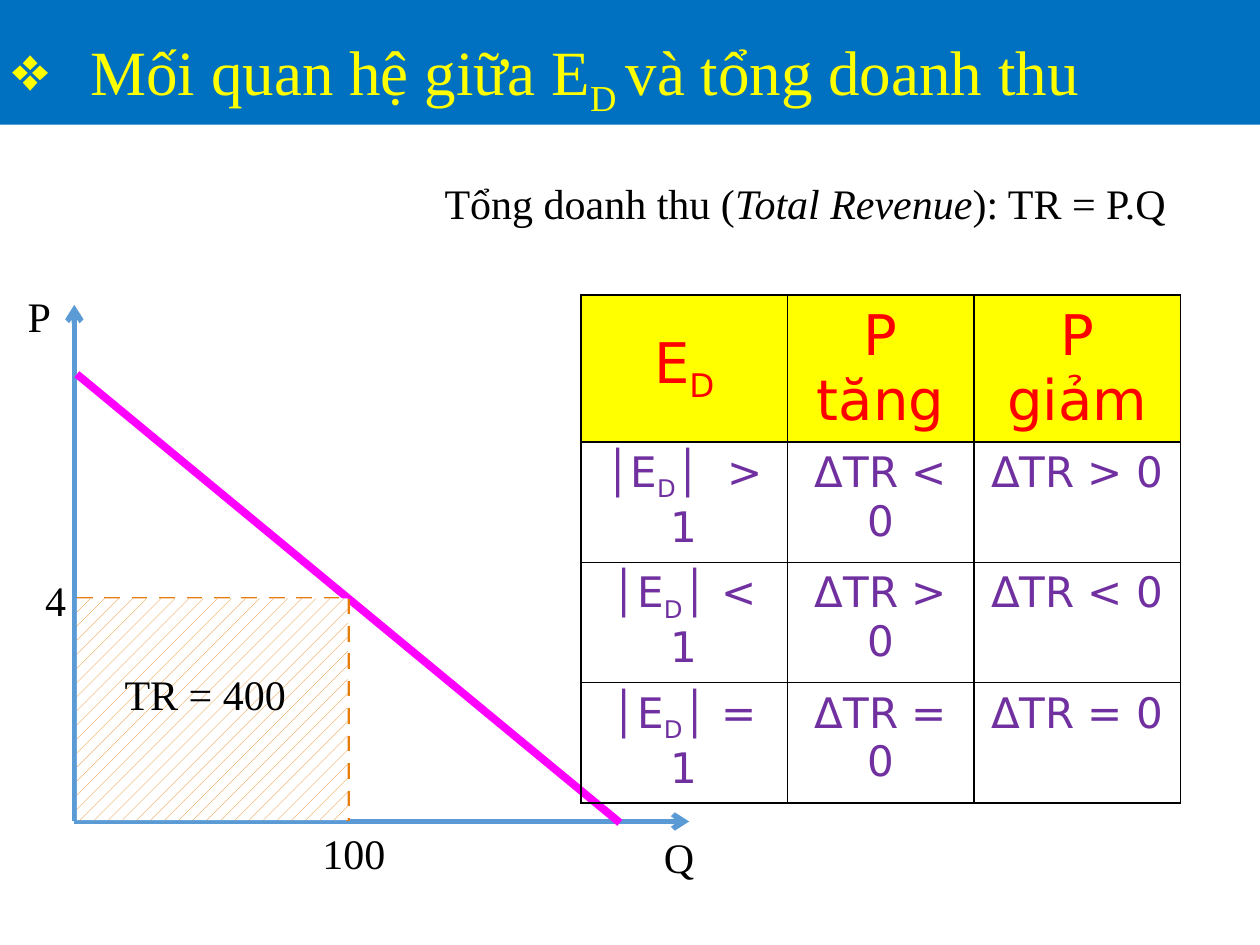
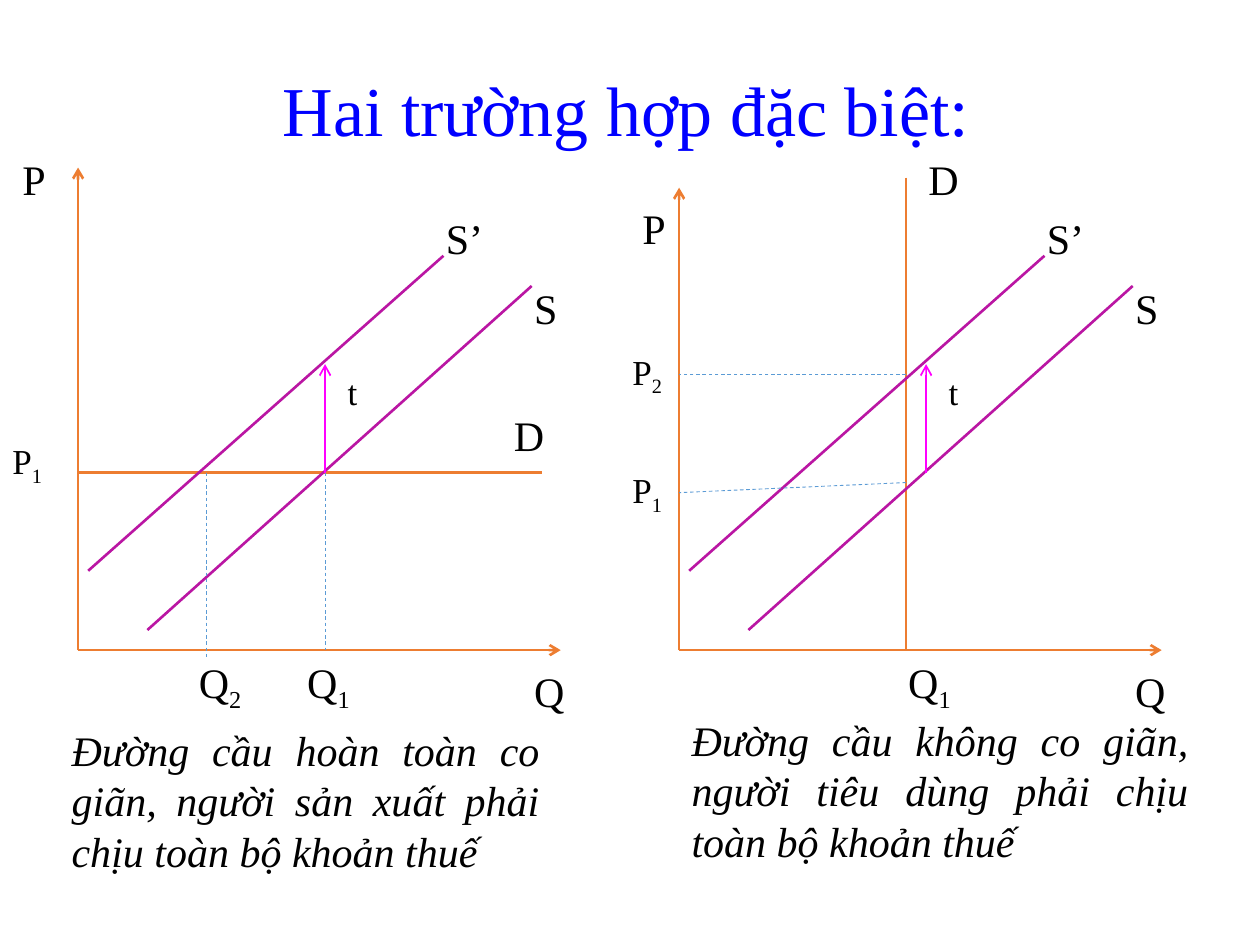
from lxml.etree import SubElement
from pptx import Presentation
from pptx.dml.color import RGBColor
from pptx.enum.dml import MSO_LINE_DASH_STYLE as Dash, MSO_PATTERN_TYPE as Pattern
from pptx.enum.shapes import MSO_CONNECTOR_TYPE as Connector, MSO_SHAPE as Shape
from pptx.enum.text import MSO_ANCHOR as Anchor, MSO_AUTO_SIZE as AutoSize, PP_ALIGN as Align
from pptx.oxml.ns import qn
from pptx.util import Pt

PX = 9144  # 100 px to the inch
SERIF, SANS = "Times New Roman", "DejaVu Sans"
BLACK, WHITE, YELLOW, RED = "000000", "FFFFFF", "FFFF00", "FF0000"
BAND, TITLE_BLUE, PURPLE = "0070C0", "0000FF", "7030A0"
AXIS_BLUE, AXIS_ORANGE = "5B9BD5", "ED7D31"
MAGENTA, SUPPLY, GUIDE_ORANGE = "FF00FF", "BA16A3", "E67D0A"
PANEL_SHIFT = 477


def px(*lengths):
    return [length * PX for length in lengths]


def color(code):
    return RGBColor.from_string(code)


def write(para, text, size, ink=BLACK, font=SERIF, italic=False):
    """Fill a paragraph; in text, _x_ is a subscript and *x* is italic."""
    for i, chunk in enumerate(text.split("_")):
        for j, piece in enumerate(chunk.split("*")):
            if not piece:
                continue
            span = para.add_run()
            span.text = piece
            span.font.size = Pt(size)
            span.font.name = font
            span.font.color.rgb = color(ink)
            if italic or j % 2:
                span.font.italic = True
            if i % 2:
                span._r.get_or_add_rPr().set("baseline", "-25000")


def add_label(page, text, left, top, width, height=50, size=24):
    """One line of text in a box that does not wrap."""
    box = page.shapes.add_textbox(*px(left, top, width, height))
    box.text_frame.word_wrap = False
    box.text_frame.auto_size = AutoSize.SHAPE_TO_FIT_TEXT
    write(box.text_frame.paragraphs[0], text, size)


def add_paragraph_box(page, text, at, size, align, ink=BLACK, italic=False):
    box = page.shapes.add_textbox(*px(*at))
    box.text_frame.word_wrap = True
    para = box.text_frame.paragraphs[0]
    para.alignment = align
    write(para, text, size, ink, italic=italic)
    return box


def add_line(page, start, end, ink, width, dashed=False, arrow=False):
    line = page.shapes.add_connector(Connector.STRAIGHT, *px(*start, *end))
    line.line.color.rgb = color(ink)
    line.line.width = Pt(width)
    if dashed:
        line.line.dash_style = Dash.DASH
    if arrow:
        SubElement(line.line._get_or_add_ln(), qn("a:tailEnd"), type="arrow")
    SubElement(line._element.spPr, qn("a:effectLst"))


def add_rectangle(page, at):
    box = page.shapes.add_shape(Shape.RECTANGLE, *px(*at))
    box.shadow.inherit = False
    box.line.fill.background()
    return box


def add_title_band(page, text):
    band = add_rectangle(page, (0, -3, 1000, 102))
    band.fill.solid()
    band.fill.fore_color.rgb = color(BAND)
    band.text_frame.vertical_anchor = Anchor.BOTTOM
    para = band.text_frame.paragraphs[0]
    para.alignment = Align.LEFT
    props = para._p.get_or_add_pPr()
    props.set("marL", str(62 * PX))
    props.set("indent", str(-62 * PX))
    SubElement(props, qn("a:buChar"), char="❖")
    write(para, text, 36, YELLOW)


def border_cell(cell):
    props = cell._tc.get_or_add_tcPr()
    for side in ("lnL", "lnR", "lnT", "lnB"):
        edge = SubElement(props, qn(f"a:{side}"), w=str(Pt(1)))
        fill = SubElement(edge, qn("a:solidFill"))
        SubElement(fill, qn("a:srgbClr"), val=BLACK)


def add_grid(page, rows, left, top, widths, heights):
    """A table with a yellow heading row and plain rows below."""
    frame = page.shapes.add_table(len(rows), len(widths),
                                  *px(left, top, sum(widths), sum(heights)))
    table = frame.table
    table.first_row = table.horz_banding = False
    for column, width in zip(table.columns, widths):
        column.width = width * PX
    for r, (texts, height) in enumerate(zip(rows, heights)):
        table.rows[r].height = height * PX
        for c, text in enumerate(texts):
            cell = table.cell(r, c)
            border_cell(cell)
            para = cell.text_frame.paragraphs[0]
            para.alignment = Align.CENTER
            if r == 0:
                cell.vertical_anchor = Anchor.MIDDLE
                cell.fill.solid()
                cell.fill.fore_color.rgb = color(YELLOW)
                write(para, text, 32, RED, SANS)
            else:
                cell.fill.background()
                write(para, text, 24, PURPLE, SANS)


def build_revenue_page(page):
    origin, sale = (59, 652), (276, 475)
    add_title_band(page, "Mối quan hệ giữa E_D _và tổng doanh thu")
    for tip in ((59, 242), (547, 652)):
        add_line(page, origin, tip, AXIS_BLUE, 3, arrow=True)
    add_line(page, (61, 297), (492, 653), MAGENTA, 4.5)
    add_label(page, "P", 12, 226, 39)
    add_label(page, "Q", 517, 655, 45)
    for start, end in (((61, 475), sale), (sale, (276, 652))):
        add_line(page, start, end, GUIDE_ORANGE, 2.25, dashed=True)
    add_label(page, "4", 26, 451, 37)
    add_label(page, "100", 246, 652, 71)
    add_label(page, "Tổng doanh thu (*Total Revenue*): TR = P.Q", 343, 136, 602)

    revenue = add_rectangle(page, (61, 475, 215, 176))
    revenue.fill.patterned()
    revenue.fill.pattern = Pattern.PERCENT_10
    revenue.fill.fore_color.rgb = color(GUIDE_ORANGE)
    revenue.fill.back_color.rgb = color(WHITE)
    add_label(page, "TR = 400", 89, 526, 149)

    add_grid(page, [
        ("E_D_", "P tăng", "P giảm"),
        ("│E_D_│  > 1", "ΔTR < 0", "ΔTR > 0"),
        ("│E_D_│ < 1", "ΔTR > 0", "ΔTR < 0"),
        ("│E_D_│ = 1", "ΔTR = 0", "ΔTR = 0"),
    ], 461, 234, (164, 148, 164), (74, 67, 52, 74))


def add_tax_panel(page, shift, axis_top, demand, guides):
    """Axes, a demand line, and the supply line before and after the tax t."""
    origin = (62 + shift, 516)
    for tip in ((62 + shift, axis_top), (445 + shift, 516)):
        add_line(page, origin, tip, AXIS_ORANGE, 1.5, arrow=True)
    add_line(page, *demand, AXIS_ORANGE, 1.5)
    for x1, y1, x2, y2 in ((117, 500, 422, 227), (70, 453, 352, 203)):
        add_line(page, (x1 + shift, y1), (x2 + shift, y2), SUPPLY, 1.5)
    for start, end in guides:
        add_line(page, start, end, AXIS_BLUE, 0.5, dashed=True)
    tax_x = 258 + shift
    add_line(page, (tax_x, 375), (tax_x, 289), MAGENTA, 1, arrow=True)
    add_label(page, "Q", 414 + shift, 523, 45)
    add_label(page, "t", 266 + shift, 289, 35, 44, 20)
    add_label(page, "S", 414 + shift, 219, 39)
    add_label(page, "S’", 344 + shift, 164, 50)


def build_tax_page(page):
    title = add_paragraph_box(page, "Hai trường hợp đặc biệt:", (47, 55, 900, 71),
                              40, Align.CENTER, TITLE_BLUE)
    title.text_frame.vertical_anchor = Anchor.MIDDLE
    title.text_frame.paragraphs[0].line_spacing = 0.9

    add_tax_panel(page, 0, 133, ((62, 375), (430, 375)),
                  [((258, 375), (258, 516)), ((164, 375), (164, 523))])
    add_tax_panel(page, PANEL_SHIFT, 149, ((719, 141), (719, 516)),
                  [((719, 383), (539, 391)), ((719, 297), (539, 297))])

    for text, left, top, width in (
            ("P", 8, 117, 39), ("D", 398, 320, 45),
            ("Q_2_", 148, 516, 56), ("Q_1_", 234, 516, 56),
            ("P", 500, 156, 39), ("D", 727, 117, 45), ("Q_1_", 711, 516, 56)):
        add_label(page, text, left, top, width)
    for text, left, top in (("P_1_", 0, 344), ("P_1_", 492, 367), ("P_2_", 492, 273)):
        add_label(page, text, left, top, 45, 44, 20)

    for text, at in (
            ("Đường cầu hoàn toàn co giãn, người sản xuất phải chịu toàn bộ khoản thuế",
             (47, 570, 391, 131)),
            ("Đường cầu không co giãn, người tiêu dùng phải chịu toàn bộ khoản thuế",
             (539, 562, 414, 131))):
        add_paragraph_box(page, text, at, 24, Align.JUSTIFY, italic=True)


def main():
    deck = Presentation()
    deck.slide_width, deck.slide_height = px(1000, 750)
    blank = deck.slide_layouts[6]
    for build in (build_revenue_page, build_tax_page):
        build(deck.slides.add_slide(blank))
    deck.save("out.pptx")


if __name__ == "__main__":
    main()
